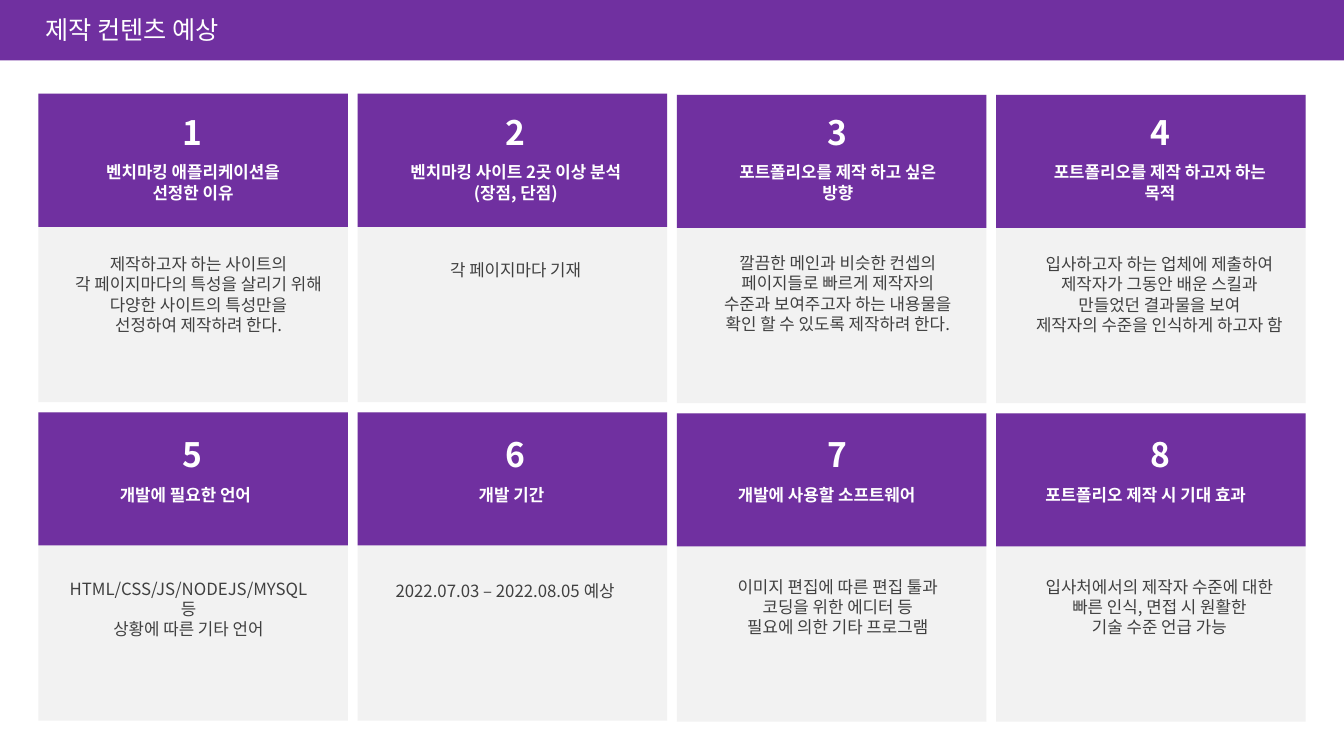
from lxml import etree
from pptx import Presentation
from pptx.dml.color import RGBColor
from pptx.enum.shapes import MSO_SHAPE
from pptx.enum.text import PP_ALIGN
from pptx.oxml.ns import qn
from pptx.util import Inches, Pt

PURPLE, GRAY, WHITE, DARK = "7030A0", "F2F2F2", "FFFFFF", "404040"
COLUMNS = 4
CARD_W, CARD_H, HEADER_H = 3.07, 3.06, 1.32
COLUMN_STEP, ROW_STEP = 9.5 / 3, 3.16

# heading, heading left and width, body, body left, top and width
CARDS = [
    ("벤치마킹 애플리케이션을\n선정한 이유", 0.86, 2.11,
     "제작하고자 하는 사이트의\n각 페이지마다의 특성을 살리기 위해\n"
     "다양한 사이트의 특성만을\n선정하여 제작하려 한다.", 0.49, 2.47, 2.96),
    ("벤치마킹 사이트 2곳 이상 분석\n(장점, 단점)", 3.84, 2.55,
     "각 페이지마다 기재", 4.28, 2.53, 1.67),
    ("포트폴리오를 제작 하고 싶은\n방향", 7.11, 2.4,
     "깔끔한 메인과 비슷한 컨셉의\n페이지들로 빠르게 제작자의\n"
     "수준과 보여주고자 하는 내용물을\n확인 할 수 있도록 제작하려 한다.", 6.92, 2.46, 2.78),
    ("포트폴리오를 제작 하고자 하는\n목적", 10.22, 2.57,
     "입사하고자 하는 업체에 제출하여\n제작자가 그동안 배운 스킬과\n"
     "만들었던 결과물을 보여\n제작자의 수준을 인식하게 하고자 함", 10.02, 2.47, 2.96),
    ("개발에 필요한 언어", 1.09, 1.67,
     "HTML/CSS/JS/NODEJS/MYSQL등\n상황에 따른 기타 언어", 0.52, 5.69, 2.7),
    ("개발 기간", 4.65, 0.93,
     "2022.07.03 – 2022.08.05 예상", 3.79, 5.71, 2.44),
    ("개발에 사용할 소프트웨어", 7.22, 2.17,
     "이미지 편집에 따른 편집 툴과\n코딩을 위한 에디터 등\n"
     "필요에 의한 기타 프로그램", 7.08, 5.67, 2.46),
    ("포트폴리오 제작 시 기대 효과", 10.27, 2.46,
     "입사처에서의 제작자 수준에 대한\n빠른 인식, 면접 시 원활한\n"
     "기술 수준 언급 가능", 10.13, 5.67, 2.74),
]


def rgb(color):
    return RGBColor.from_string(color)


class Deck:
    font = "Noto Sans CJK KR"

    def __init__(self):
        self.prs = Presentation()
        self.prs.slide_width, self.prs.slide_height = Inches(13.33), Inches(7.5)
        self.slide = self.prs.slides.add_slide(self.prs.slide_layouts[6])

    def rect(self, x, y, w, h, color):
        sp = self.slide.shapes.add_shape(
            MSO_SHAPE.RECTANGLE, Inches(x), Inches(y), Inches(w), Inches(h))
        sp.shadow.inherit = False
        sp.fill.solid()
        sp.fill.fore_color.rgb = rgb(color)
        sp.line.fill.background()

    def text(self, text, x, y, w, h, size=12, color=WHITE, bold=False,
             align=PP_ALIGN.CENTER, wrap=False):
        sp = self.slide.shapes.add_textbox(Inches(x), Inches(y), Inches(w), Inches(h))
        tf = sp.text_frame
        tf.word_wrap = wrap
        tf.text = text
        for p in tf.paragraphs:
            p.alignment = align
            for r in p.runs:
                r.font.size, r.font.bold = Pt(size), bold
                r.font.color.rgb = rgb(color)
                r.font.name = self.font
                etree.SubElement(r.font._element, qn("a:ea"), typeface=self.font)


def main():
    deck = Deck()
    deck.rect(0, 0, 13.33, 0.6, PURPLE)
    deck.text("제작 컨텐츠 예상", 0.35, 0.09, 2.15, 0.4, size=18, align=PP_ALIGN.LEFT)

    for i, (heading, head_x, head_w, body, body_x, body_y, body_w) in enumerate(CARDS):
        row, col = divmod(i, COLUMNS)
        x = 0.38 + COLUMN_STEP * col
        y = (0.93 if col < 2 else 0.94) + ROW_STEP * row
        deck.rect(x, y, CARD_W, CARD_H, GRAY)
        deck.rect(x, y, CARD_W, HEADER_H, PURPLE)

        number_y = 1.06 + 3.2 * row
        deck.text(str(i + 1), 1.71 + 3.2 * col, number_y, 0.4, 0.5, size=24, bold=True)
        lines = heading.count("\n") + 1
        deck.text(heading, head_x, number_y + 0.5, head_w, 0.1 + 0.2 * lines, bold=True,
                  align=PP_ALIGN.CENTER if lines > 1 else PP_ALIGN.LEFT)
        body_h = 0.11 + 0.25 * (body.count("\n") + 1)
        deck.text(body, body_x, body_y, body_w, body_h, color=DARK,
                  wrap=body.startswith("HTML"))

    deck.prs.save("out.pptx")


if __name__ == "__main__":
    main()
